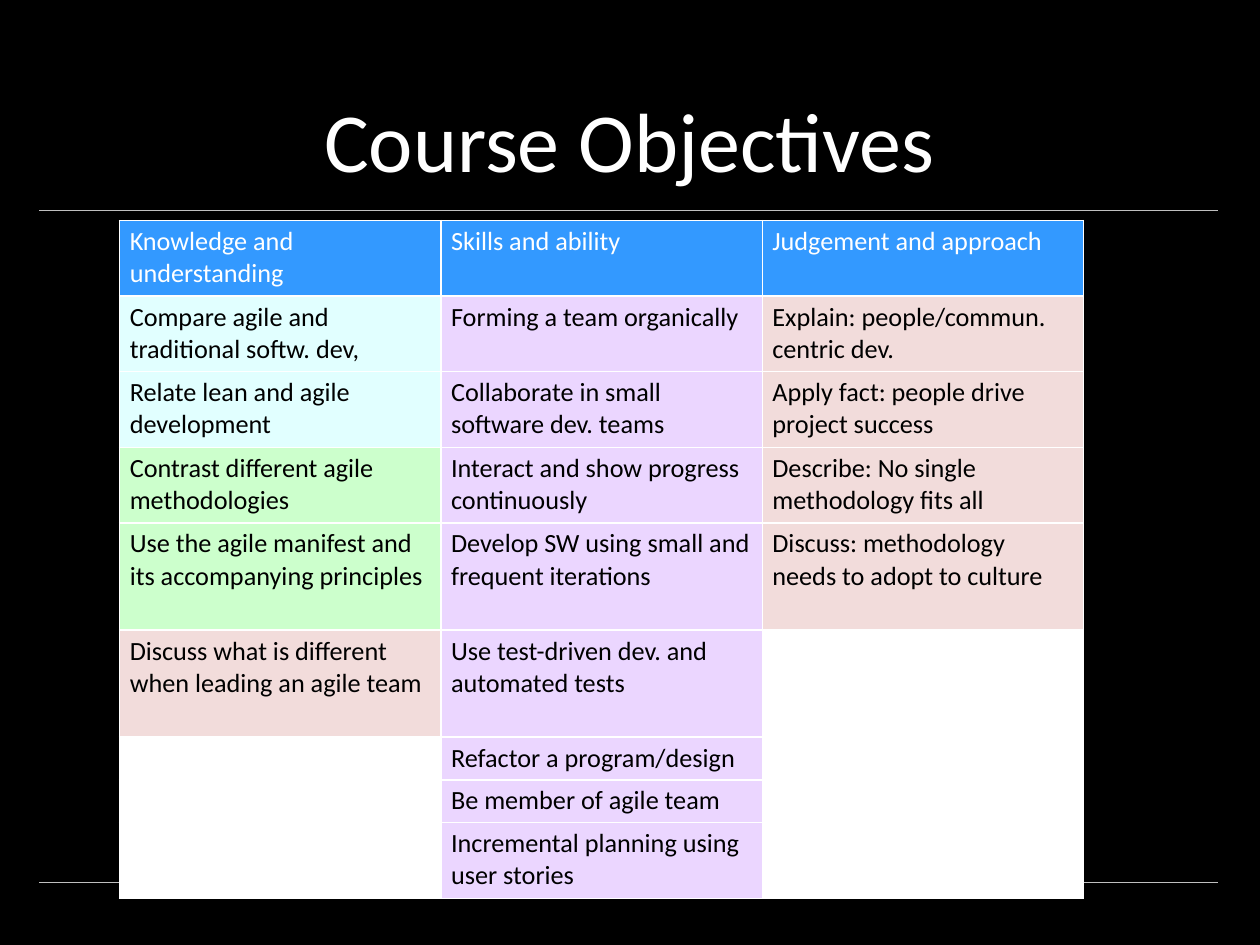
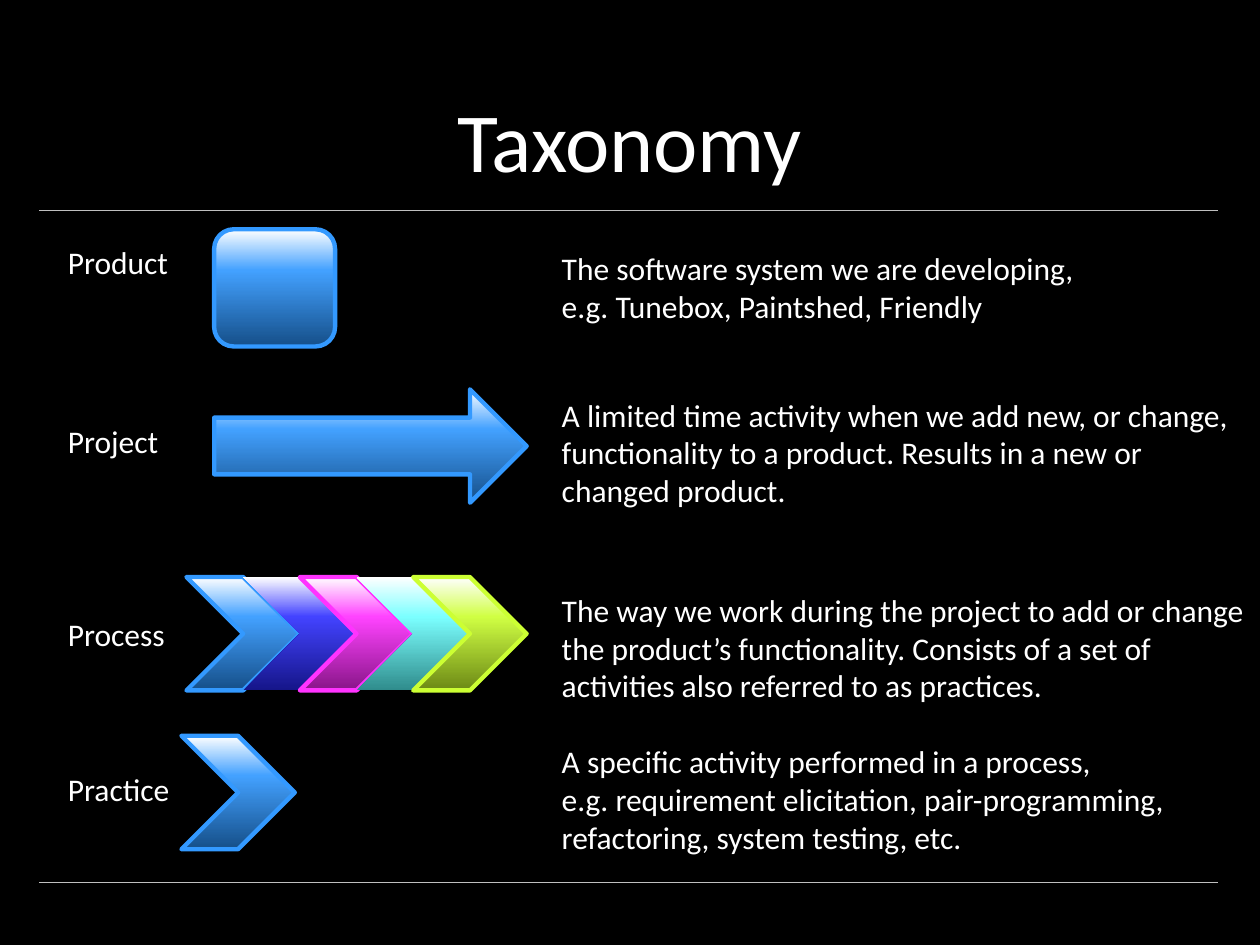
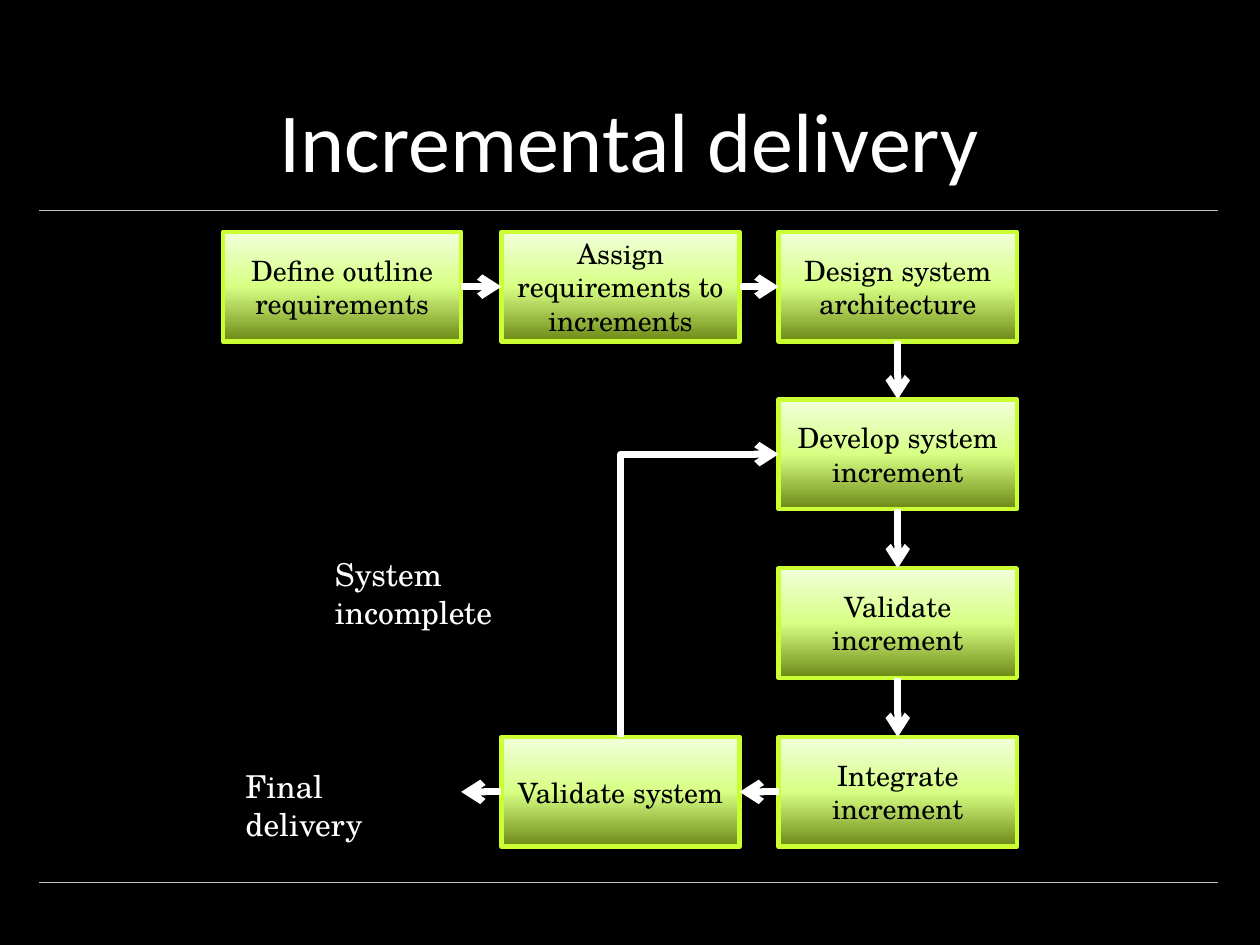
"""Build three slides on agile development: objectives, taxonomy and delivery."""
from copy import deepcopy

from lxml.etree import SubElement
from pptx import Presentation
from pptx.dml.color import RGBColor
from pptx.enum.shapes import MSO_CONNECTOR, MSO_SHAPE
from pptx.enum.text import MSO_ANCHOR, MSO_AUTO_SIZE, PP_ALIGN
from pptx.oxml.ns import qn
from pptx.util import Inches, Pt

BLACK, WHITE, RULE = "000000", "FFFFFF", "BFBFBF"
BLUE, PINK, LIME = "3399FF", "FF33FF", "CCFF33"
SANS, SERIF = "Calibri", "TeX Gyre Schola"

AQUA, GREEN, ROSE, LILAC = "E1FFFF", "CCFFCC", "F2DCDB", "EBD6FF"
OBJECTIVES = [
    [("Knowledge and understanding", BLUE),
     ("Compare agile and traditional softw. dev,", AQUA),
     ("Relate lean and agile development", AQUA),
     ("Contrast different agile methodologies", GREEN),
     ("Use the agile manifest and its accompanying principles", GREEN),
     ("Discuss what is different when leading an agile team", ROSE)],
    [("Skills and ability", BLUE),
     ("Forming a team organically", LILAC),
     ("Collaborate in small software dev. teams", LILAC),
     ("Interact and show progress continuously", LILAC),
     ("Develop SW using small and frequent iterations", LILAC),
     ("Use test-driven dev. and automated tests", LILAC),
     ("Refactor a program/design", LILAC),
     ("Be member of agile team", LILAC),
     ("Incremental planning using user stories", LILAC)],
    [("Judgement and approach", BLUE),
     ("Explain: people/commun. centric dev.", ROSE),
     ("Apply fact: people drive project success", ROSE),
     ("Describe: No single methodology fits all", ROSE),
     ("Discuss: methodology needs to adopt to culture", ROSE)],
]
ROW_HEIGHTS = [0.6, 0.6, 0.6, 0.6, 0.85, 0.85, 0.34, 0.34, 0.6]
COLUMN_WIDTH = 2.55

BLUE_SHADE = [(0, "154F89"), (0.65, "43A1FF"), (1, WHITE)]
INDIGO_SHADE = [(0, "151589"), (0.65, "4343FF"), (1, WHITE)]
PINK_SHADE = [(0, "891589"), (0.65, "FF43FF"), (1, WHITE)]
CYAN_SHADE = [(0, "2F8C8C"), (0.65, "7BFFFF"), (1, WHITE)]
LIME_SHADE = [(0, "6C8915"), (0.65, "D0FF43"), (1, WHITE)]
STEP_SHADE = [(0, "6C8915"), (0.5, "D7FF84"), (1, "F1FFDB")]

TERMS = [
    ("Product", 1.88, 1.03, 1.93, 4.38, 0.71,
     ["The software system we are developing,",
      "e.g. Tunebox, Paintshed, Friendly"]),
    ("Project", 3.3, 0.95, 3.09, 5.61, 1.01,
     ["A limited time activity when we add new, or change,",
      "functionality to a product. Results in a new or",
      "changed product."]),
    ("Process", 4.83, 1.01, 4.64, 5.72, 1.01,
     ["The way we work during the project to add or change",
      "the product’s functionality. Consists of a set of",
      "activities also referred to as practices."]),
    ("Practice", 6.06, 1.05, 5.84, 5.12, 1.01,
     ["A specific activity performed in a process,",
      "e.g. requirement elicitation, pair-programming,",
      "refactoring, system testing, etc."]),
]
PROCESS_CHEVRONS = [(BLUE_SHADE, BLUE), (INDIGO_SHADE, None), (PINK_SHADE, PINK),
                    (CYAN_SHADE, None), (LIME_SHADE, LIME)]
CHEVRON = 0.9

STEP_COLUMNS = [1.77, 3.98, 6.18]
STEP_ROWS = [1.84, 3.17, 4.51, 5.85]
STEP_WIDTH, STEP_HEIGHT = 1.89, 0.87
STEPS = [
    ("Define outline requirements", 0, 0),
    ("Assign requirements to increments", 1, 0),
    ("Design system architecture", 2, 0),
    ("Develop system increment", 2, 1),
    ("Validate increment", 2, 2),
    ("Integrate increment", 2, 3),
    ("Validate system", 1, 3),
]
TOP, LEFT, BOTTOM, RIGHT = range(4)
STEP_LINKS = [(RIGHT, LEFT), (RIGHT, LEFT), (BOTTOM, TOP), (BOTTOM, TOP),
              (BOTTOM, TOP), (LEFT, RIGHT)]
OUTCOMES = [("Final delivery", 1.85, 6.04, 1.73), ("System incomplete", 2.56, 4.36, 2.31)]


def rgb(value):
    return RGBColor.from_string(value)


def write(frame, lines, size, font, color, align=PP_ALIGN.LEFT):
    for number, line in enumerate(lines):
        paragraph = frame.add_paragraph() if number else frame.paragraphs[0]
        paragraph.alignment = align
        run = paragraph.add_run()
        run.text = line
        run.font.size, run.font.name = Pt(size), font
        run.font.color.rgb = rgb(color)


def add_label(slide, box, lines, font=SANS, wrap=False):
    frame = slide.shapes.add_textbox(*map(Inches, box)).text_frame
    frame.word_wrap = wrap
    frame.auto_size = MSO_AUTO_SIZE.SHAPE_TO_FIT_TEXT
    write(frame, lines, 18, font, WHITE)


def add_line(slide, start, end, color, width, arrow=False, kind=MSO_CONNECTOR.STRAIGHT):
    line = slide.shapes.add_connector(kind, *map(Inches, (*start, *end)))
    line.line.color.rgb, line.line.width = rgb(color), Pt(width)
    if arrow:
        SubElement(line.line._get_or_add_ln(), qn("a:tailEnd"), type="arrow")
    SubElement(line._element.spPr, qn("a:effectLst"))
    return line


def add_shaded(slide, kind, box, shade, outline):
    shape = slide.shapes.add_shape(kind, *map(Inches, box))
    shape.shadow.inherit = False
    shape.fill.gradient()
    shape.fill.gradient_angle = 90
    stops = shape._element.spPr.find(".//" + qn("a:gsLst"))
    stops.append(deepcopy(stops[-1]))
    for stop, (position, color) in zip(shape.fill.gradient_stops, shade):
        stop.position, stop.color.rgb = position, rgb(color)
    if outline:
        shape.line.color.rgb, shape.line.width = rgb(outline), Pt(2.5)
    else:
        shape.line.fill.background()
    return shape


def add_slide(deck, title):
    slide = deck.slides.add_slide(deck.slide_layouts[6])
    slide.background.fill.solid()
    slide.background.fill.fore_color.rgb = rgb(BLACK)
    for y in (1.67, 7):
        add_line(slide, (0.31, y), (9.67, y), RULE, 0.25)
    frame = slide.shapes.add_textbox(*map(Inches, (0.7, 0.12, 8.59, 1.43))).text_frame
    frame.word_wrap = True
    frame.vertical_anchor = MSO_ANCHOR.BOTTOM
    write(frame, [title], 48, SANS, WHITE, PP_ALIGN.CENTER)
    return slide


def style_cell(cell, text, fill, color):
    cell.margin_left = cell.margin_right = Inches(0.08)
    cell.margin_top = cell.margin_bottom = Inches(0.04)
    if text:
        write(cell.text_frame, [text], 15, SANS, color)
    else:
        SubElement(cell.text_frame.paragraphs[0]._p, qn("a:endParaRPr"), sz="1500")
    properties = cell._tc.get_or_add_tcPr()
    for side in ("lnL", "lnR", "lnT", "lnB"):
        border = SubElement(properties, qn("a:" + side), w=str(Pt(1)))
        SubElement(SubElement(border, qn("a:solidFill")), qn("a:srgbClr"), val=WHITE)
    cell.fill.solid()
    cell.fill.fore_color.rgb = rgb(fill)


def build_objectives(deck):
    slide = add_slide(deck, "Course Objectives")
    size = (COLUMN_WIDTH * len(OBJECTIVES), sum(ROW_HEIGHTS))
    table = slide.shapes.add_table(len(ROW_HEIGHTS), len(OBJECTIVES),
                                   *map(Inches, (0.95, 1.75, *size))).table
    table.horz_banding = False
    for row, height in zip(table.rows, ROW_HEIGHTS):
        row.height = Inches(height)
    for column, goals in enumerate(OBJECTIVES):
        table.columns[column].width = Inches(COLUMN_WIDTH)
        for row in range(len(ROW_HEIGHTS)):
            text, fill = goals[row] if row < len(goals) else ("", WHITE)
            style_cell(table.cell(row, column), text, fill, BLACK if row else WHITE)


def build_taxonomy(deck):
    slide = add_slide(deck, "Taxonomy")
    add_shaded(slide, MSO_SHAPE.ROUNDED_RECTANGLE, (1.7, 1.82, 0.96, 0.93), BLUE_SHADE, BLUE)
    add_shaded(slide, MSO_SHAPE.RIGHT_ARROW, (1.7, 3.09, 2.48, 0.9), BLUE_SHADE, BLUE)
    chevrons = [(1.48 + number * CHEVRON / 2, 4.58, *colors)
                for number, colors in enumerate(PROCESS_CHEVRONS)]
    for x, y, shade, outline in chevrons + [(1.44, 5.84, BLUE_SHADE, BLUE)]:
        add_shaded(slide, MSO_SHAPE.CHEVRON, (x, y, CHEVRON, CHEVRON), shade, outline)
    for term, term_y, term_width, y, width, height, meaning in TERMS:
        add_label(slide, (0.44, term_y, term_width, 0.4), [term])
        add_label(slide, (4.36, y, width, height), meaning)


def build_delivery(deck):
    slide = add_slide(deck, "Incremental delivery")
    steps = []
    for text, column, row in STEPS:
        box = (STEP_COLUMNS[column], STEP_ROWS[row], STEP_WIDTH, STEP_HEIGHT)
        step = add_shaded(slide, MSO_SHAPE.RECTANGLE, box, STEP_SHADE, LIME)
        step.text_frame.word_wrap = True
        step.text_frame.vertical_anchor = MSO_ANCHOR.MIDDLE
        write(step.text_frame, [text], 16, SERIF, BLACK, PP_ALIGN.CENTER)
        steps.append(step)
    for source, target, (leave, enter) in zip(steps, steps[1:], STEP_LINKS):
        link = add_line(slide, (0, 0), (1, 1), WHITE, 4, arrow=True)
        link.begin_connect(source, leave)
        link.end_connect(target, enter)

    exit_y = STEP_ROWS[3] + STEP_HEIGHT / 2
    add_line(slide, (STEP_COLUMNS[1], exit_y), (STEP_COLUMNS[0] + STEP_WIDTH, exit_y),
             WHITE, 4, arrow=True)

    start_x, start_y = STEP_COLUMNS[1] + STEP_WIDTH / 2, STEP_ROWS[3]
    end_x, end_y = STEP_COLUMNS[2], STEP_ROWS[1] + STEP_HEIGHT / 2
    middle_x, middle_y = (start_x + end_x) / 2, (start_y + end_y) / 2
    half_rise, half_run = (start_y - end_y) / 2, (end_x - start_x) / 2
    loop = add_line(slide, (middle_x + half_rise, middle_y + half_run),
                    (middle_x - half_rise, middle_y - half_run),
                    WHITE, 4, arrow=True, kind=MSO_CONNECTOR.ELBOW)
    outline = loop._element.spPr
    outline.find(qn("a:xfrm")).set("rot", "5400000")
    outline.find(qn("a:prstGeom")).set("prst", "bentConnector2")

    for text, x, y, width in OUTCOMES:
        add_label(slide, (x, y, width, 0.4), [text], SERIF, wrap=True)


def main():
    deck = Presentation()
    deck.slide_width, deck.slide_height = Inches(10), Inches(7.5)
    build_objectives(deck)
    build_taxonomy(deck)
    build_delivery(deck)
    deck.save("out.pptx")


if __name__ == "__main__":
    main()
